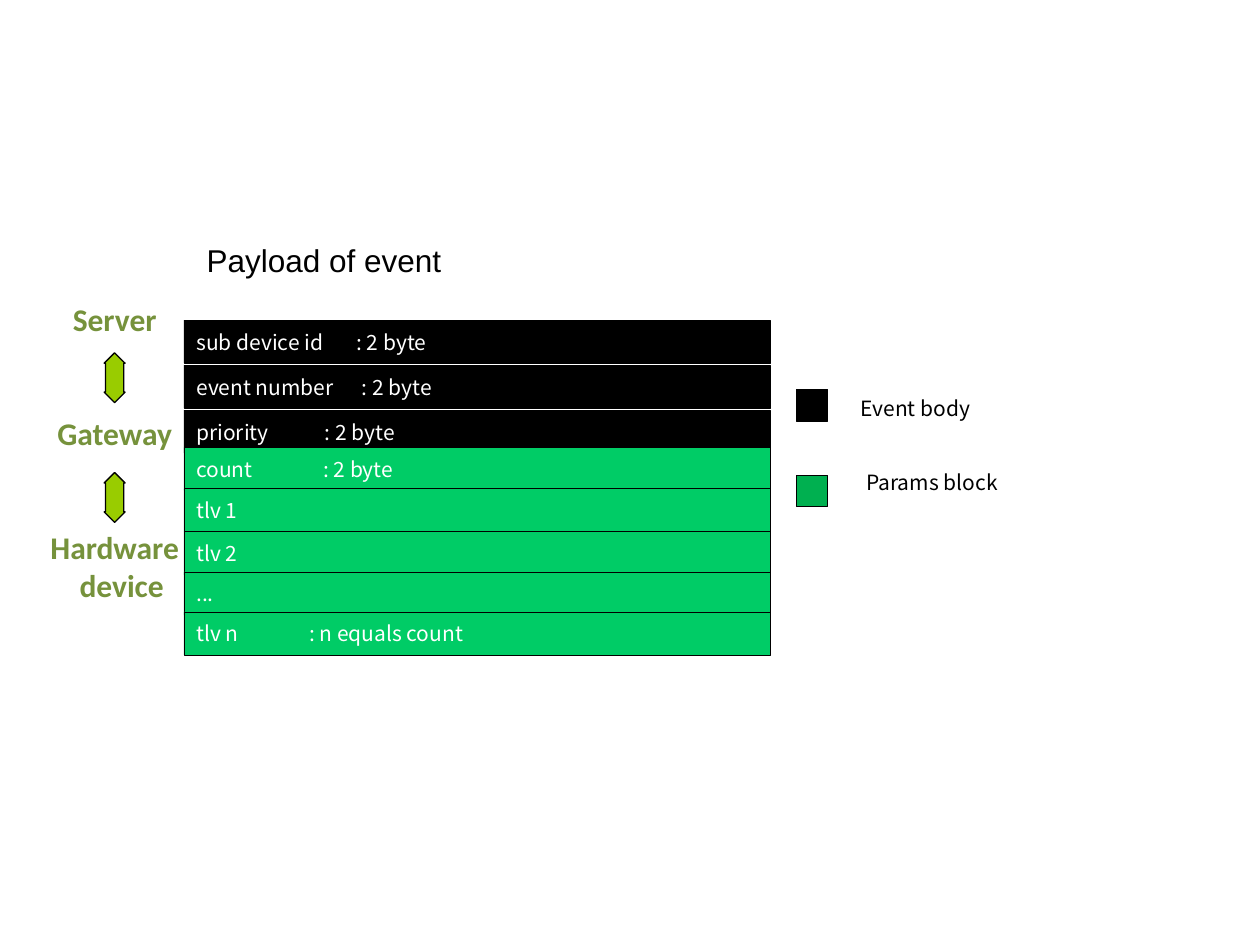
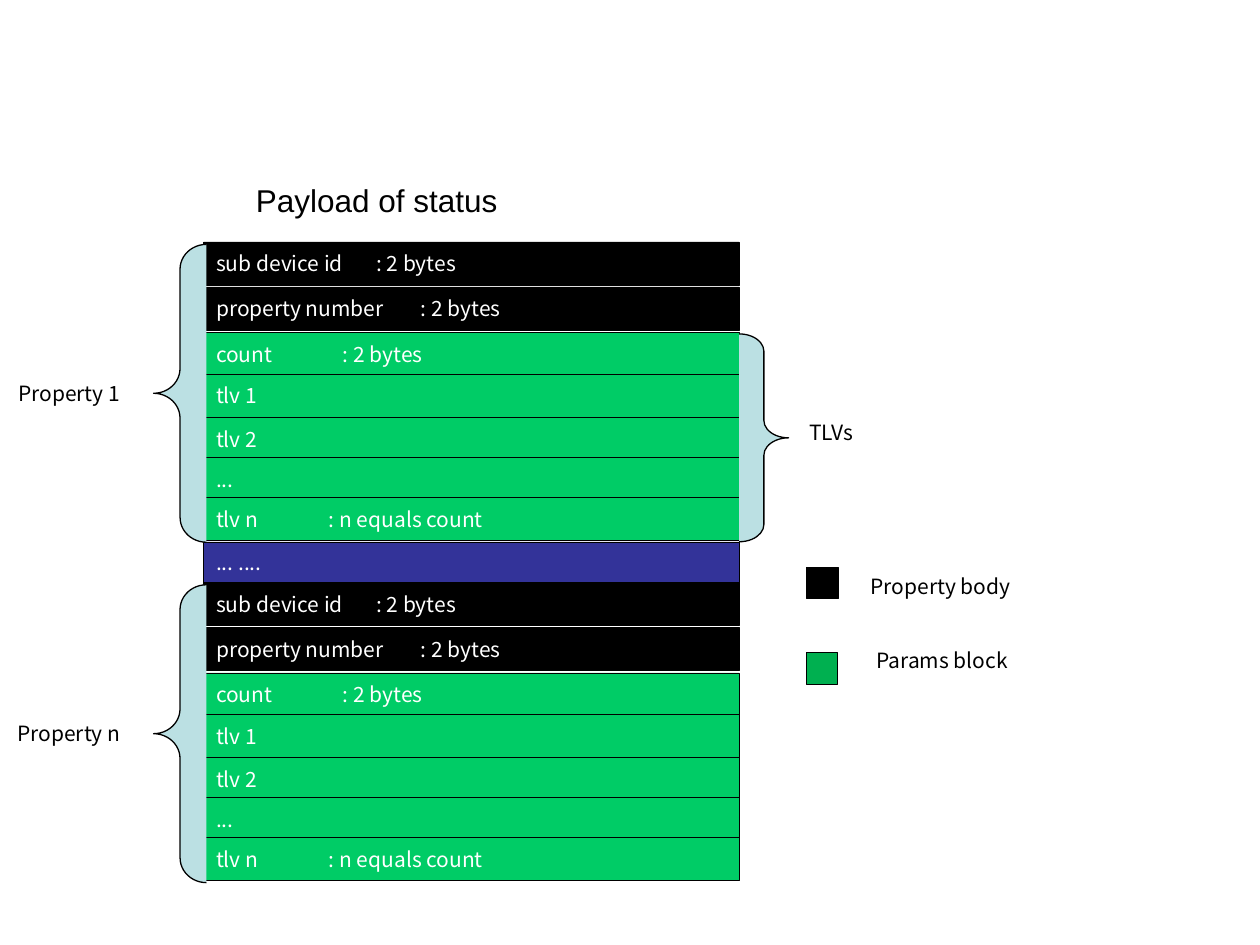
from lxml import etree
from pptx import Presentation
from pptx.dml.color import RGBColor
from pptx.enum.shapes import MSO_SHAPE
from pptx.enum.text import MSO_ANCHOR, MSO_AUTO_SIZE, PP_ALIGN
from pptx.oxml.ns import qn
from pptx.util import Pt

RECTANGLE = MSO_SHAPE.RECTANGLE
UP_DOWN_ARROW = MSO_SHAPE.UP_DOWN_ARROW
LEFT_BRACE = MSO_SHAPE.LEFT_BRACE
RIGHT_BRACE = MSO_SHAPE.RIGHT_BRACE
TOP, MIDDLE = MSO_ANCHOR.TOP, MSO_ANCHOR.MIDDLE
LEFT, CENTER = PP_ALIGN.LEFT, PP_ALIGN.CENTER
NO_AUTOFIT = MSO_AUTO_SIZE.NONE

BLACK = RGBColor(0x00, 0x00, 0x00)
WHITE = RGBColor(0xFF, 0xFF, 0xFF)
PARAMS_GREEN = RGBColor(0x00, 0xCC, 0x66)
LEGEND_GREEN = RGBColor(0x00, 0xB0, 0x50)
SEPARATOR_BLUE = RGBColor(0x33, 0x33, 0x99)
BRACE_BLUE = RGBColor(0xBB, 0xE0, 0xE3)
ARROW_GREEN = RGBColor(0x99, 0xCC, 0x00)
ROLE_GREEN = RGBColor(0x76, 0x92, 0x3C)

BODY_FONT = "Noto Sans CJK SC"
ROW_HEIGHT = 24.7
BODY_PITCH = 25.7
PARAM_OFFSETS = [0, 23.6, 48.2, 71.2, 94]


def write_text(shape, text, font=BODY_FONT, size=12, color=BLACK, bold=False,
               align=LEFT, anchor=TOP, wrap=False, tab=None):
    """Fill a shape with text, one paragraph per line; tab is a stop in points."""
    frame = shape.text_frame
    frame.text = text
    frame.auto_size = NO_AUTOFIT
    frame.word_wrap = wrap
    frame.vertical_anchor = anchor
    for paragraph in frame.paragraphs:
        paragraph.alignment = align
        paragraph.font.name = font
        paragraph.font.size = Pt(size)
        paragraph.font.bold = bold
        paragraph.font.color.rgb = color
        if tab:
            properties = paragraph._p.get_or_add_pPr()
            stops = etree.Element(qn("a:tabLst"))
            etree.SubElement(stops, qn("a:tab"), pos=str(Pt(tab)), algn="l")
            properties.find(qn("a:defRPr")).addprevious(stops)
        for run in paragraph.runs:
            run.font.name = font
            run.font.size = Pt(size)
            run.font.bold = bold
            run.font.color.rgb = color


def add_filled(slide, kind, box, fill, line_width=0.25, adjustments=()):
    shape = slide.shapes.add_shape(kind, *[Pt(length) for length in box])
    shape.shadow.inherit = False
    shape.fill.solid()
    shape.fill.fore_color.rgb = fill
    shape.line.color.rgb = BLACK
    shape.line.width = Pt(line_width)
    for index, value in enumerate(adjustments):
        shape.adjustments[index] = value
    return shape


# Each row: text before the tab, text after it, tab stop
def_event = [("sub device id", ": 2 byte", 91.5),
             ("event number", ": 2 byte", 94.5),
             ("priority", ": 2 byte", 73.5)]
property_body = [("sub device id", ": 2 bytes", 91.5),
                 ("property number", ": 2 bytes", 117)]
tlv_rows = [("tlv 1", "", None), ("tlv 2", "", None), ("...", "", None),
            ("tlv n", ": n equals count", 64.5)]
event_params = [("count", ": 2 byte", 72.5)] + tlv_rows
property_params = [("count", ": 2 bytes", 72.5)] + tlv_rows

# Each block: body top, body rows, params top, params rows
payloads = [
    {"title": "Payload of event", "title_at": (110.9, 133.9),
     "left": 105.1, "width": 334.8,
     "blocks": [(182.9, def_event, 255.6, event_params)],
     "legend_at": (455, 222.5), "legend_body": "Event body"},
    {"title": "Payload of status", "title_at": (139, 100.1),
     "left": 116.4, "width": 306,
     "blocks": [(138.2, property_body, 190.1, property_params),
                (332.6, property_body, 384.5, property_params)],
     "legend_at": (460.8, 324), "legend_body": "Property body"},
]

presentation = Presentation()
presentation.slide_width = Pt(720)
presentation.slide_height = Pt(540)
title_only = presentation.slide_layouts[5]

for payload in payloads:
    slide = presentation.slides.add_slide(title_only)
    title = slide.shapes.title
    title.left, title.top = [Pt(length) for length in payload["title_at"]]
    title.width, title.height = Pt(153), Pt(29)
    write_text(title, payload["title"], font="Arial", size=18)

    for body_top, body_rows, params_top, params_rows in payload["blocks"]:
        rows = [(body_top + index * BODY_PITCH, BLACK, row)
                for index, row in enumerate(body_rows)]
        rows += [(params_top + offset, PARAMS_GREEN, row)
                 for offset, row in zip(PARAM_OFFSETS, params_rows)]
        for top, fill, (field, value, tab) in rows:
            bar = add_filled(slide, RECTANGLE,
                             (payload["left"], top, payload["width"], ROW_HEIGHT), fill)
            text = f"{field}\t{value}" if value else field
            write_text(bar, text, color=WHITE, anchor=MIDDLE, wrap=True, tab=tab)

    legend_left, legend_top = payload["legend_at"]
    legend = [(payload["legend_body"], BLACK, 0.25, 0, 29.7, 0),
              ("Params block", LEGEND_GREEN, 0.5, 49, 33, 42.5)]
    for label, fill, line_width, swatch_down, label_right, label_down in legend:
        add_filled(slide, RECTANGLE, (legend_left, legend_top + swatch_down, 18, 18),
                   fill, line_width)
        label_box = slide.shapes.add_textbox(
            Pt(legend_left + label_right), Pt(legend_top + label_down), Pt(92), Pt(21.8))
        write_text(label_box, label)

event_slide, status_slide = presentation.slides

# Roles that exchange the event
roles = event_slide.shapes.add_textbox(Pt(20.2), Pt(167.8), Pt(90.7), Pt(223))
write_text(roles, "Server\nGateway\nHardware\ndevice", font="Calibri", size=18,
           color=ROLE_GREEN, bold=True, align=CENTER, wrap=True)
server, gateway, hardware, device = roles.text_frame.paragraphs
gateway.space_before = hardware.space_before = Pt(43.5)
device._p.get_or_add_pPr().set("marL", str(Pt(8)))
for arrow_top in (201.6, 270):
    add_filled(event_slide, UP_DOWN_ARROW, (59.5, arrow_top, 12, 28.5),
               ARROW_GREEN, 0.75, (0.5, 0.87))

# Separator, braces and their labels
separator = add_filled(status_slide, RECTANGLE, (116.4, 309.6, 306, 23), SEPARATOR_BLUE)
write_text(separator, "... ....", color=WHITE, anchor=MIDDLE, wrap=True)
braces = [
    (LEFT_BRACE, (87.8, 139.7, 30.2, 170.2), 0.47, "Property 1", (3.3, 213.8, 73)),
    (LEFT_BRACE, (87.8, 334.2, 30.2, 170.2), 0.47, "Property n", (2.9, 408.2, 73)),
    (RIGHT_BRACE, (422.4, 190.8, 28.3, 118.8), 0.35, "TLVs", (455.4, 236.2, 40.3)),
]
for kind, box, curve, label, (left, top, width) in braces:
    add_filled(status_slide, kind, box, BRACE_BLUE, 0.75, (curve, 0.5))
    label_box = status_slide.shapes.add_textbox(Pt(left), Pt(top), Pt(width), Pt(21.8))
    write_text(label_box, label)

presentation.save("out.pptx")
